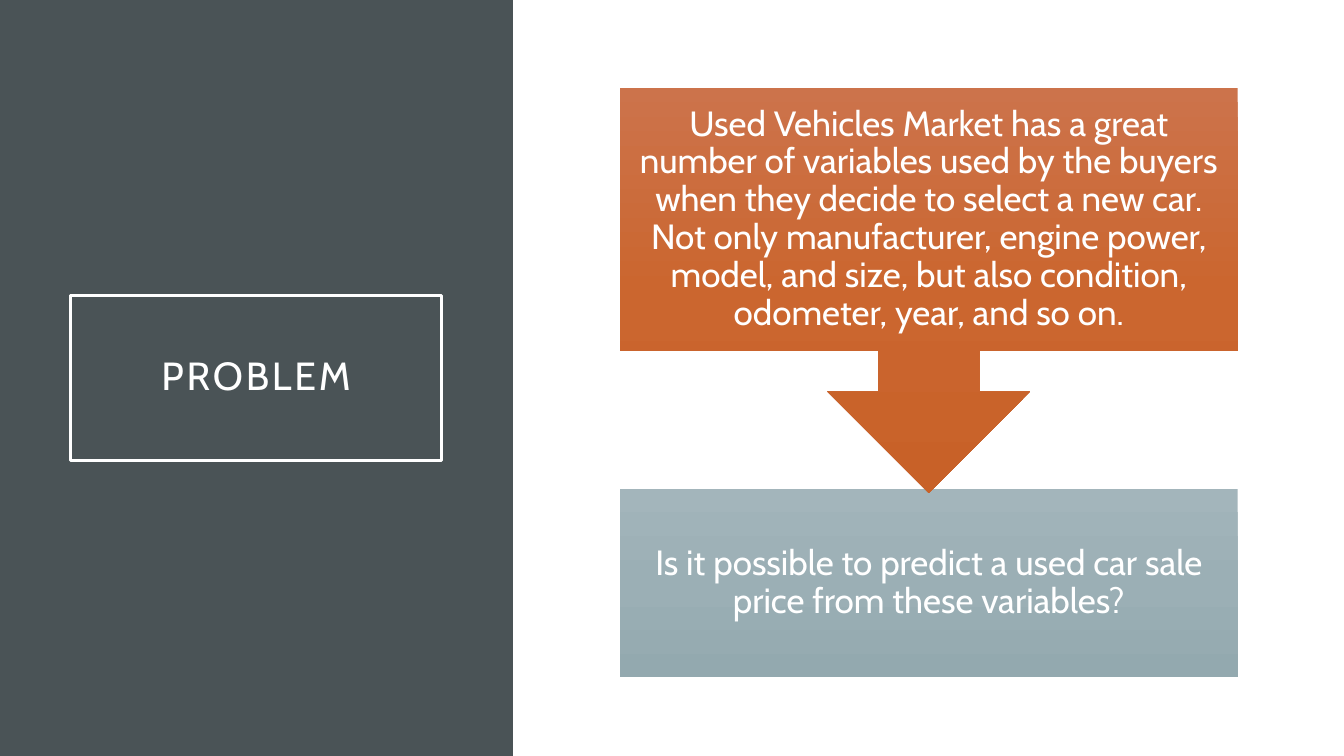
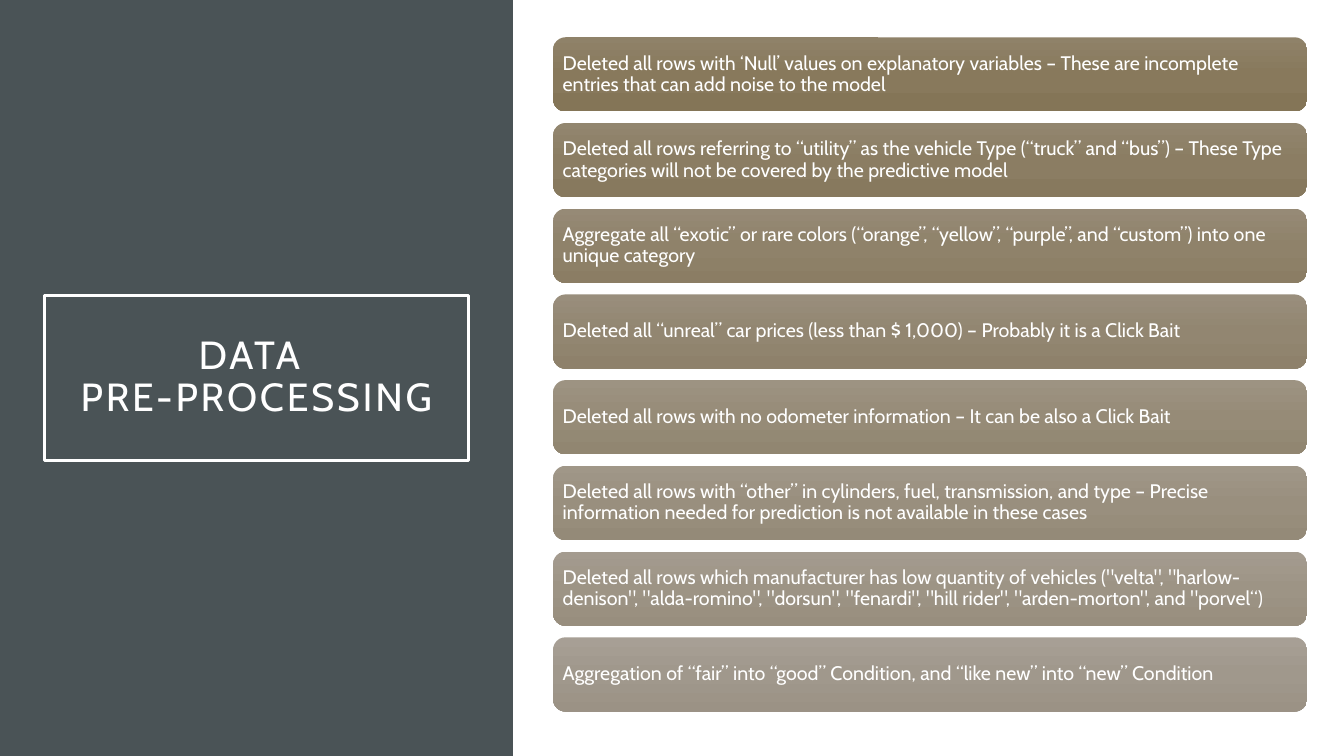
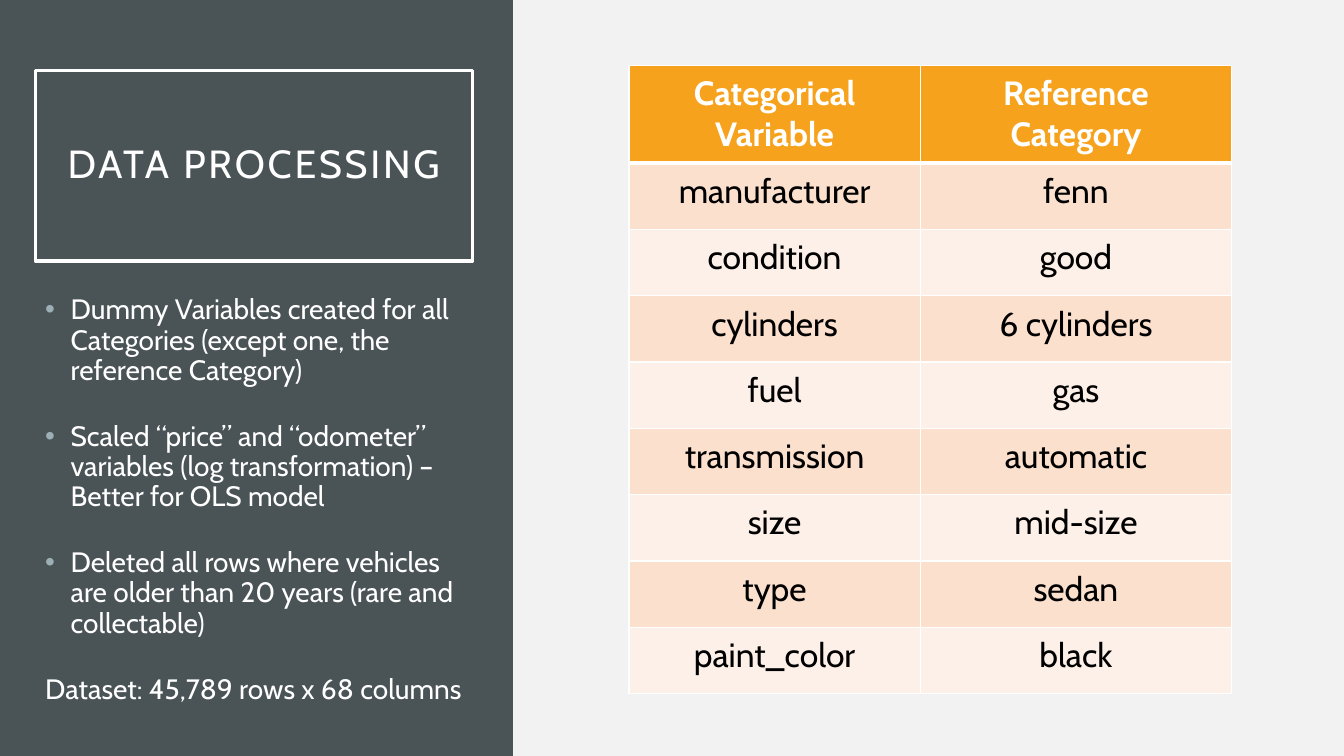
from copy import deepcopy

from lxml.etree import SubElement
from pptx import Presentation
from pptx.dml.color import RGBColor
from pptx.enum.shapes import MSO_SHAPE as SHAPE
from pptx.enum.text import MSO_ANCHOR as ANCHOR, MSO_AUTO_SIZE as AUTO, PP_ALIGN as ALIGN
from pptx.oxml.ns import qn
from pptx.util import Cm, Pt

FONT = "Cabin"
WHITE = RGBColor(0xFF, 0xFF, 0xFF)
BLACK = RGBColor(0x00, 0x00, 0x00)
SLATE = RGBColor(0x4A, 0x53, 0x56)
PALE_GREY = RGBColor(0xF2, 0xF2, 0xF2)
BULLET = RGBColor(0x9B, 0xAF, 0xB5)
AMBER = RGBColor(0xF6, 0xA2, 0x1D)
PEACH = RGBColor(0xFB, 0xE0, 0xCD)
CREAM = RGBColor(0xFD, 0xF0, 0xE8)
RUST_GRADIENT = (RGBColor(0xCC, 0x73, 0x4B), RGBColor(0xCB, 0x66, 0x2F), RGBColor(0xC8, 0x61, 0x28))
MIST_GRADIENT = (RGBColor(0xA3, 0xB5, 0xBB), RGBColor(0x9B, 0xAF, 0xB5), RGBColor(0x93, 0xA9, 0xAF))
FIRST_STEP = (RGBColor(0x8F, 0x82, 0x69), RGBColor(0x88, 0x79, 0x5C), RGBColor(0x84, 0x75, 0x57))
LAST_STEP = (RGBColor(0xA7, 0x9F, 0x95), RGBColor(0xA0, 0x98, 0x8C), RGBColor(0x9B, 0x92, 0x85))

SLIDE_W, SLIDE_H, PANEL_W = 33.87, 19.05, 12.93
TITLE_ONLY, TITLE_AND_BODY = 5, 1

STEPS = [
    "Deleted all rows with ‘Null’ values on explanatory variables – These are incomplete entries that can add noise to the model",
    "Deleted all rows referring to “utility” as the vehicle Type (“truck” and “bus”) – These Type categories will not be covered by the predictive model",
    "Aggregate all “exotic” or rare colors (“orange”, “yellow”, “purple”, and “custom”) into one unique category",
    "Deleted all “unreal” car prices (less than $ 1,000) – Probably it is a Click Bait",
    "Deleted all rows with no odometer information – It can be also a Click Bait",
    "Deleted all rows with “other” in cylinders, fuel, transmission, and type – Precise information needed for prediction is not available in these cases",
    'Deleted all rows which manufacturer has low quantity of vehicles ("velta", "harlow-denison", "alda-romino", "dorsun", "fenardi", "hill rider", "arden-morton", and "porvel“)',
    "Aggregation of “fair” into “good” Condition, and “like new” into “new” Condition",
]
NOTES = [
    "Dummy Variables created for all Categories (except one, the reference Category)",
    "Scaled “price” and “odometer” variables (log transformation) – Better for OLS model",
    "Deleted all rows where vehicles are older than 20 years (rare and collectable)",
]
DATASET = "Dataset: 45,789 rows x 68 columns"
CATEGORIES = [
    ("Categorical Variable", "Reference Category"),
    ("manufacturer", "fenn"),
    ("condition", "good"),
    ("cylinders", "6 cylinders"),
    ("fuel", "gas"),
    ("transmission", "automatic"),
    ("size", "mid-size"),
    ("type", "sedan"),
    ("paint_color", "black"),
]


def set_all(obj, formats):
    for name, value in formats.items():
        setattr(obj, name, value)


def set_frame(tf, inset):
    set_all(tf, {"word_wrap": True, "auto_size": AUTO.NONE, "vertical_anchor": ANCHOR.MIDDLE,
                 "margin_left": Cm(inset), "margin_right": Cm(inset),
                 "margin_top": Cm(inset), "margin_bottom": Cm(inset)})


def write(p, text, size, color=WHITE, bold=False, align=ALIGN.LEFT, spacing=0.9):
    p.text = text
    set_all(p, {"alignment": align, "line_spacing": spacing})
    for r in p.runs:
        set_all(r.font, {"name": FONT, "size": Pt(size), "bold": bold})
        r.font.color.rgb = color


def place(shape, box):
    set_all(shape, dict(zip(("left", "top", "width", "height"), map(Cm, box))))


def add_block(s, kind, box, colors, text, size, inset, align):
    sp = s.shapes.add_shape(kind, *map(Cm, box))
    sp.shadow.inherit = False
    sp.line.fill.background()
    fill = sp.fill
    fill.gradient()
    fill.gradient_angle = 270
    stop_list = sp._element.spPr.find(qn("a:gradFill")).find(qn("a:gsLst"))
    stop_list.append(deepcopy(stop_list[-1]))
    for stop, position, color in zip(fill.gradient_stops, (0, 0.5, 1), colors):
        stop.position = position
        stop.color.rgb = color
    set_frame(sp.text_frame, inset)
    write(sp.text_frame.paragraphs[0], text, size, align=align)


def add_slide(prs, layout, title, title_box):
    s = prs.slides.add_slide(prs.slide_layouts[layout])
    panel = s.shapes.add_shape(SHAPE.RECTANGLE, 0, 0, Cm(PANEL_W), Cm(SLIDE_H))
    panel.shadow.inherit = False
    panel.fill.solid()
    panel.fill.fore_color.rgb = SLATE
    panel.line.fill.background()
    s.shapes._spTree.insert(2, panel._element)

    sp = s.shapes.title
    place(sp, title_box)
    sp.line.color.rgb = WHITE
    sp.line.width = Pt(2.5)
    set_frame(sp.text_frame, 0.51)
    p = sp.text_frame.paragraphs[0]
    write(p, title, 28, align=ALIGN.CENTER)
    for r in p.runs:
        r.font._element.set("spc", "200")
    return s


def add_question_flow(s, box):
    left, top, width, height = box
    callout_h, question_h = 10.21, 4.75
    question_box = (left, top + height - question_h, width, question_h)
    add_block(s, SHAPE.RECTANGLE, question_box, MIST_GRADIENT,
              "Is it possible to predict a used car sale price from these variables?",
              25, 0.48, ALIGN.CENTER)
    add_block(s, SHAPE.DOWN_ARROW_CALLOUT, (left, top, width, callout_h), RUST_GRADIENT,
              "Used Vehicles Market has a great number of variables used by the buyers when they "
              "decide to select a new car. Not only manufacturer, engine power, model, and size, "
              "but also condition, odometer, year, and so on.",
              25, 0.48, ALIGN.CENTER)


def blend(start, end, share):
    return RGBColor(*(round(a + (b - a) * share) for a, b in zip(start, end)))


def add_steps(s, box):
    left, top, width, height = box
    step_h = 1.87
    pitch = (height - step_h) / (len(STEPS) - 1)
    for i, text in enumerate(STEPS):
        share = i / (len(STEPS) - 1)
        colors = [blend(a, b, share) for a, b in zip(FIRST_STEP, LAST_STEP)]
        add_block(s, SHAPE.ROUNDED_RECTANGLE, (left, top + i * pitch, width, step_h),
                  colors, text, 14, 0.15, ALIGN.LEFT)


def set_bullet(p, shown):
    pPr = p._p.get_or_add_pPr()
    indent = Cm(0.64) if shown else 0
    pPr.set("marL", str(indent))
    pPr.set("indent", str(-indent))
    if shown:
        color = SubElement(pPr, qn("a:buClr"))
        SubElement(color, qn("a:srgbClr"), val=str(BULLET))
        SubElement(pPr, qn("a:buFont"), typeface="Arial")
        SubElement(pPr, qn("a:buChar"), char="•")
    else:
        SubElement(pPr, qn("a:buNone"))


def add_notes_list(s, box):
    body = s.placeholders[1]
    place(body, box)
    tf = body.text_frame
    set_frame(tf, 0.25)
    set_all(tf, {"vertical_anchor": ANCHOR.TOP, "margin_top": Cm(0.13), "margin_bottom": Cm(0.13)})
    for i, text in enumerate(NOTES + [DATASET]):
        p = tf.add_paragraph() if i else tf.paragraphs[0]
        write(p, text, 20)
        p.space_before = Pt(25.5 if i else 0)
        set_bullet(p, text != DATASET)


def set_borders(cell, top, bottom):
    tcPr = cell._tc.get_or_add_tcPr()
    for side, width in (("L", 1), ("R", 1), ("T", top), ("B", bottom)):
        ln = SubElement(tcPr, qn("a:ln" + side), w=str(Pt(width)))
        SubElement(SubElement(ln, qn("a:solidFill")), qn("a:srgbClr"), val=str(WHITE))


def add_category_table(s, box):
    left, top, width, height = box
    header_h, first_w = 2.43, 7.34
    row_h = (height - header_h) / (len(CATEGORIES) - 1)
    table = s.shapes.add_table(len(CATEGORIES), 2, *map(Cm, box)).table
    for column, w in zip(table.columns, (first_w, width - first_w)):
        column.width = Cm(w)
    for i, texts in enumerate(CATEGORIES):
        header = i == 0
        table.rows[i].height = Cm(header_h if header else row_h)
        for j, text in enumerate(texts):
            cell = table.cell(i, j)
            set_all(cell, {"margin_left": Cm(0.41), "margin_right": Cm(0.41),
                           "margin_top": Cm(0.2), "margin_bottom": Cm(0.2)})
            set_borders(cell, 3 if i == 1 else 1, 3 if header else 1)
            cell.fill.solid()
            cell.fill.fore_color.rgb = AMBER if header else (CREAM, PEACH)[i % 2]
            write(cell.text_frame.paragraphs[0], text, 24, WHITE if header else BLACK,
                  header, ALIGN.CENTER, 1.0)


def main():
    prs = Presentation()
    set_all(prs, {"slide_width": Cm(SLIDE_W), "slide_height": Cm(SLIDE_H)})

    s = add_slide(prs, TITLE_ONLY, "PROBLEM", (1.78, 7.44, 9.35, 4.17))
    add_question_flow(s, (15.62, 2.21, 15.57, 14.86))

    s = add_slide(prs, TITLE_ONLY, "DATA \vPRE-PROCESSING", (1.12, 7.44, 10.69, 4.17))
    add_steps(s, (13.94, 0.94, 19, 16.99))

    s = add_slide(prs, TITLE_AND_BODY, "DATA PROCESSING", (0.89, 1.78, 11.02, 4.8))
    s.background.fill.solid()
    s.background.fill.fore_color.rgb = PALE_GREY
    add_notes_list(s, (0.89, 7.32, 11.02, 10.97))
    add_category_table(s, (15.85, 1.65, 15.19, 15.8))

    prs.save("out.pptx")


if __name__ == "__main__":
    main()
